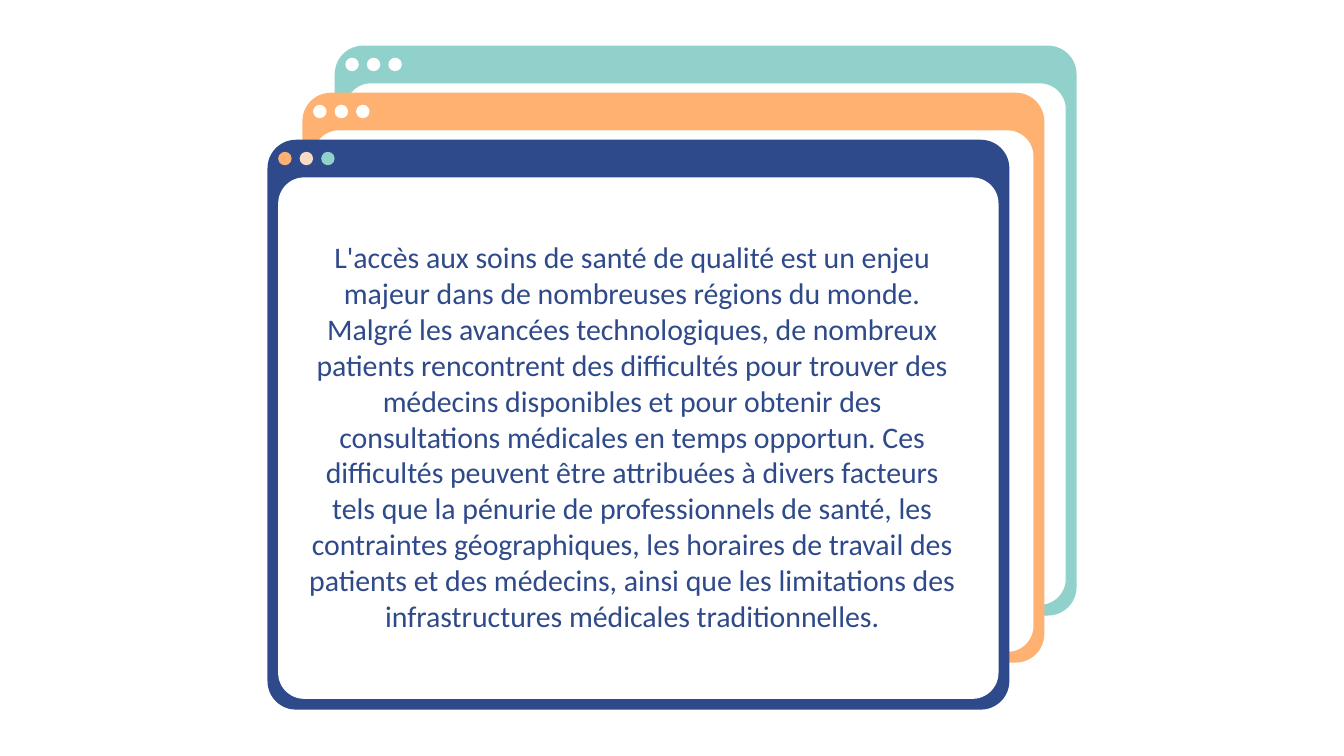
from pptx import Presentation
from pptx import util as u
from pptx.dml import color
from pptx.enum import shapes, text

SLIDE_W = 10
SLIDE_H = SLIDE_W * 9 / 16
WINDOW_W, WINDOW_H = 5.52, 4.24
NAVY, ORANGE, TEAL, PEACH, WHITE = "2F4A8A", "FFB172", "90D1CB", "F8DBC4", "FFFFFF"
WINDOWS = [
    (2.49, 0.34, TEAL, [WHITE] * 3),
    (2.25, 0.69, ORANGE, [WHITE] * 3),
    (1.99, 1.04, NAVY, [ORANGE, PEACH, TEAL]),
]
STATEMENT = (
    "L'accès aux soins de santé de qualité est un enjeu majeur dans de nombreuses "
    "régions du monde. Malgré les avancées technologiques, de nombreux patients "
    "rencontrent des difficultés pour trouver des médecins disponibles et pour obtenir "
    "des consultations médicales en temps opportun. Ces difficultés peuvent être "
    "attribuées à divers facteurs tels que la pénurie de professionnels de santé, les "
    "contraintes géographiques, les horaires de travail des patients et des médecins, "
    "ainsi que les limitations des infrastructures médicales traditionnelles."
)


def rgb(hex_code):
    return color.RGBColor.from_string(hex_code)


def place(part, left, top, width, height):
    part.left, part.top = u.Inches(left), u.Inches(top)
    part.width, part.height = u.Inches(width), u.Inches(height)


def add_filled(slide, preset, box, fill, rounding=None):
    part = slide.shapes.add_shape(preset, *(u.Inches(side) for side in box))
    part.shadow.inherit = False
    part.fill.solid()
    part.fill.fore_color.rgb = rgb(fill)
    part.line.fill.background()
    if rounding is not None:
        part.adjustments[0] = rounding


def write(part, words, *, font, size, ink, align, anchor, inset):
    frame = part.text_frame
    frame.word_wrap = True
    frame.auto_size = text.MSO_AUTO_SIZE.NONE
    frame.vertical_anchor = anchor
    frame.margin_left = frame.margin_right = u.Inches(inset)
    frame.margin_top = frame.margin_bottom = u.Inches(inset)
    paragraph = frame.paragraphs[0]
    paragraph.alignment = align
    paragraph.line_spacing = 1.0
    run = paragraph.add_run()
    run.text = words
    run.font.name, run.font.size = font, u.Pt(size)
    run.font.color.rgb = rgb(ink)


def add_window(slide, box, frame_fill, dot_fills):
    left, top, width, height = box
    border, bar, dot, pitch = 0.08, 0.28, 0.1, 0.16
    rounded = shapes.MSO_SHAPE.ROUNDED_RECTANGLE
    pane = (left + border, top + bar, width - 2 * border, height - bar - border)
    add_filled(slide, rounded, box, frame_fill, 0.05)
    add_filled(slide, rounded, pane, WHITE, 0.05)
    for column, fill in enumerate(dot_fills):
        spot = (left + border + column * pitch, top + (bar - dot) / 2, dot, dot)
        add_filled(slide, shapes.MSO_SHAPE.OVAL, spot, fill)


def add_statement(slide, box):
    left, top, width, height = box
    statement = slide.shapes.title
    slide.shapes.element.append(statement.element)
    place(statement, left + 0.15, top + 0.35, width - 0.39, height - 0.53)
    write(statement, STATEMENT, font="Calibri", size=16, ink=NAVY,
          align=text.PP_ALIGN.CENTER, anchor=text.MSO_ANCHOR.MIDDLE, inset=0.1)


def main():
    deck = Presentation()
    deck.slide_width, deck.slide_height = u.Inches(SLIDE_W), u.Inches(SLIDE_H)
    slide = deck.slides.add_slide(deck.slide_layouts.get_by_name("Title Only"))
    slide.background.fill.solid()
    slide.background.fill.fore_color.rgb = rgb(WHITE)
    for left, top, frame_fill, dot_fills in WINDOWS:
        box = (left, top, WINDOW_W, WINDOW_H)
        add_window(slide, box, frame_fill, dot_fills)
    add_statement(slide, box)
    deck.save("out.pptx")


if __name__ == "__main__":
    main()
